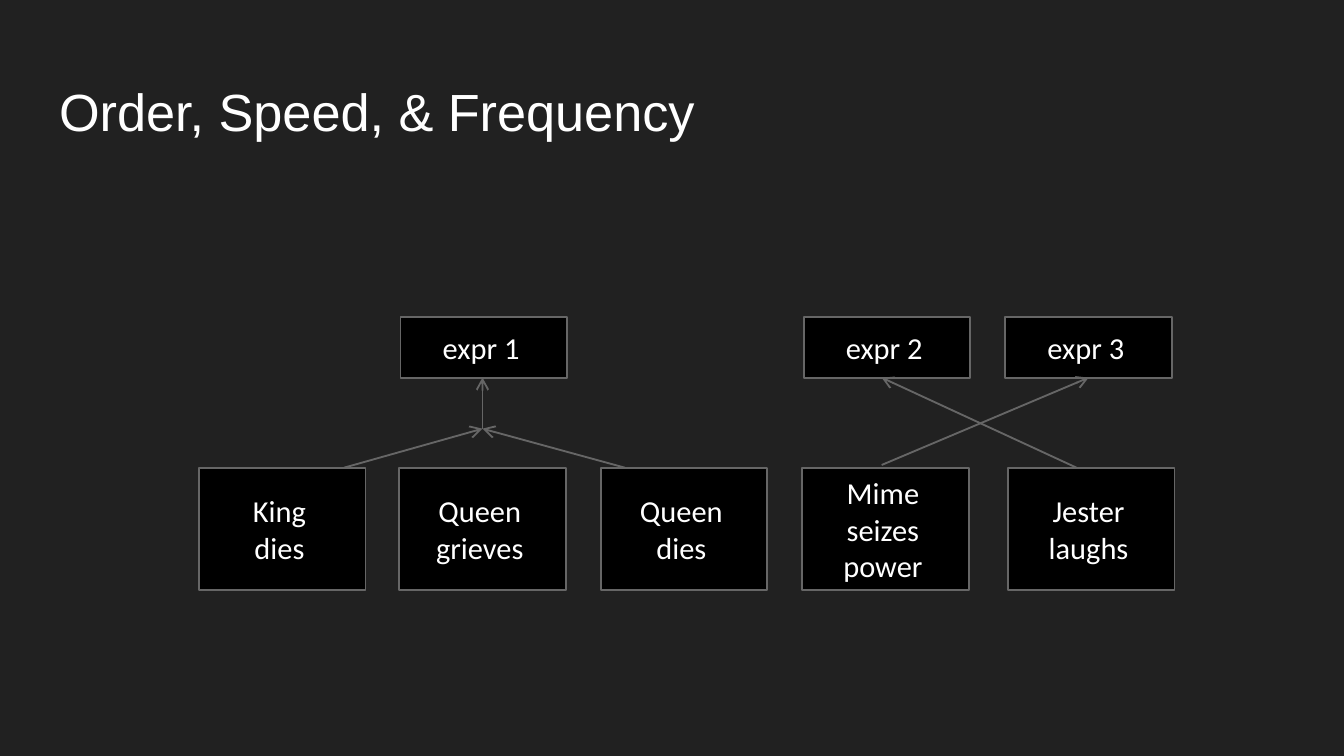
"""Build the slide that maps story events to expressions."""
from lxml import etree
from pptx import Presentation
from pptx import util as u
from pptx.dml.color import RGBColor
from pptx.enum import shapes, text
from pptx.oxml import ns


def color(value):
    """Turn a hex string into a colour."""
    return RGBColor.from_string(value)


class StorySlide:
    """Hold the style and the current slide."""

    background = "212121"
    box_fill = "000000"
    line_color = "666666"
    text_color = "FFFFFF"
    box_width = 1.24

    def __init__(self, presentation):
        """Add a title-only slide with a dark background."""
        self.slide = presentation.slides.add_slide(presentation.slide_layouts[5])
        fill = self.slide.background.fill
        fill.solid()
        fill.fore_color.rgb = color(self.background)

    def add_run(self, paragraph, words, size, font_name):
        """Add one formatted run."""
        run = paragraph.add_run()
        run.text = words
        run.font.size = u.Pt(size)
        run.font.name = font_name
        run.font.color.rgb = color(self.text_color)

    def title(self, words):
        """Place and fill the title."""
        shape = self.slide.shapes.title
        shape.left, shape.top = u.Inches(0.34), u.Inches(0.49)
        shape.width, shape.height = u.Inches(9.32), u.Inches(0.63)
        frame = shape.text_frame
        frame.auto_size = text.MSO_AUTO_SIZE.NONE
        frame.vertical_anchor = text.MSO_ANCHOR.TOP
        frame.margin_left = frame.margin_right = u.Inches(0.1)
        frame.margin_top = frame.margin_bottom = u.Inches(0.1)
        paragraph = frame.paragraphs[0]
        paragraph.alignment = text.PP_ALIGN.LEFT
        self.add_run(paragraph, words, 28, "Arial")

    def box(self, left, top, height, paragraphs):
        """Add a labelled box, with each paragraph given as its lines."""
        shape = self.slide.shapes.add_shape(
            shapes.MSO_SHAPE.RECTANGLE, u.Inches(left), u.Inches(top),
            u.Inches(self.box_width), u.Inches(height))
        shape.shadow.inherit = False
        shape.fill.solid()
        shape.fill.fore_color.rgb = color(self.box_fill)
        shape.line.color.rgb = color(self.line_color)
        shape.line.width = u.Pt(1)
        frame = shape.text_frame
        frame.word_wrap = True
        frame.vertical_anchor = text.MSO_ANCHOR.MIDDLE
        frame.margin_left = frame.margin_top = frame.margin_bottom = u.Inches(0.05)
        frame.margin_right = u.Inches(0.09)
        for index, lines in enumerate(paragraphs):
            paragraph = frame.add_paragraph() if index else frame.paragraphs[0]
            paragraph.alignment = text.PP_ALIGN.CENTER
            for number, line in enumerate(lines):
                if number:
                    paragraph.add_line_break()
                self.add_run(paragraph, line, 16.3, "Calibri")

    def arrow(self, start, end):
        """Add an arrow between two points."""
        connector = self.slide.shapes.add_connector(
            shapes.MSO_CONNECTOR.STRAIGHT, *map(u.Inches, start + end))
        connector.line.color.rgb = color(self.line_color)
        connector.line.width = u.Pt(1)
        properties = connector._element.spPr
        head = etree.SubElement(properties.find(ns.qn("a:ln")), ns.qn("a:tailEnd"))
        head.set("type", "arrow")
        etree.SubElement(properties, ns.qn("a:effectLst"))


def main():
    """Build and save the presentation."""
    presentation = Presentation()
    presentation.slide_width = u.Inches(10)
    presentation.slide_height = u.Inches(10 * 9 / 16)
    story = StorySlide(presentation)
    story.title("Order, Speed, & Frequency")

    expression_top, expression_height = 2.36, 0.45
    event_top, event_height = 3.48, 0.91
    for number, left in enumerate((2.98, 5.98, 7.48), 1):
        story.box(left, expression_top, expression_height, [[f"expr {number}"]])
    events = [
        (1.48, [["King", "dies"]]),
        (2.97, [["Queen", "grieves"]]),
        (4.47, [["Queen", "dies"]]),
        (5.97, [["Mime"], ["seizes"], ["power"]]),
        (7.5, [["Jester", "laughs"]]),
    ]
    for left, paragraphs in events:
        story.box(left, event_top, event_height, paragraphs)

    junction = (3.59, 3.19)
    expression_bottom = expression_top + expression_height
    arrows = [
        ((2.56, event_top), junction),
        ((4.65, event_top), junction),
        (junction, (3.59, expression_bottom)),
        ((8.01, event_top), (6.56, expression_bottom)),
        ((6.56, 3.46), (8.1, expression_bottom)),
    ]
    for start, end in arrows:
        story.arrow(start, end)
    presentation.save("out.pptx")


if __name__ == "__main__":
    main()
